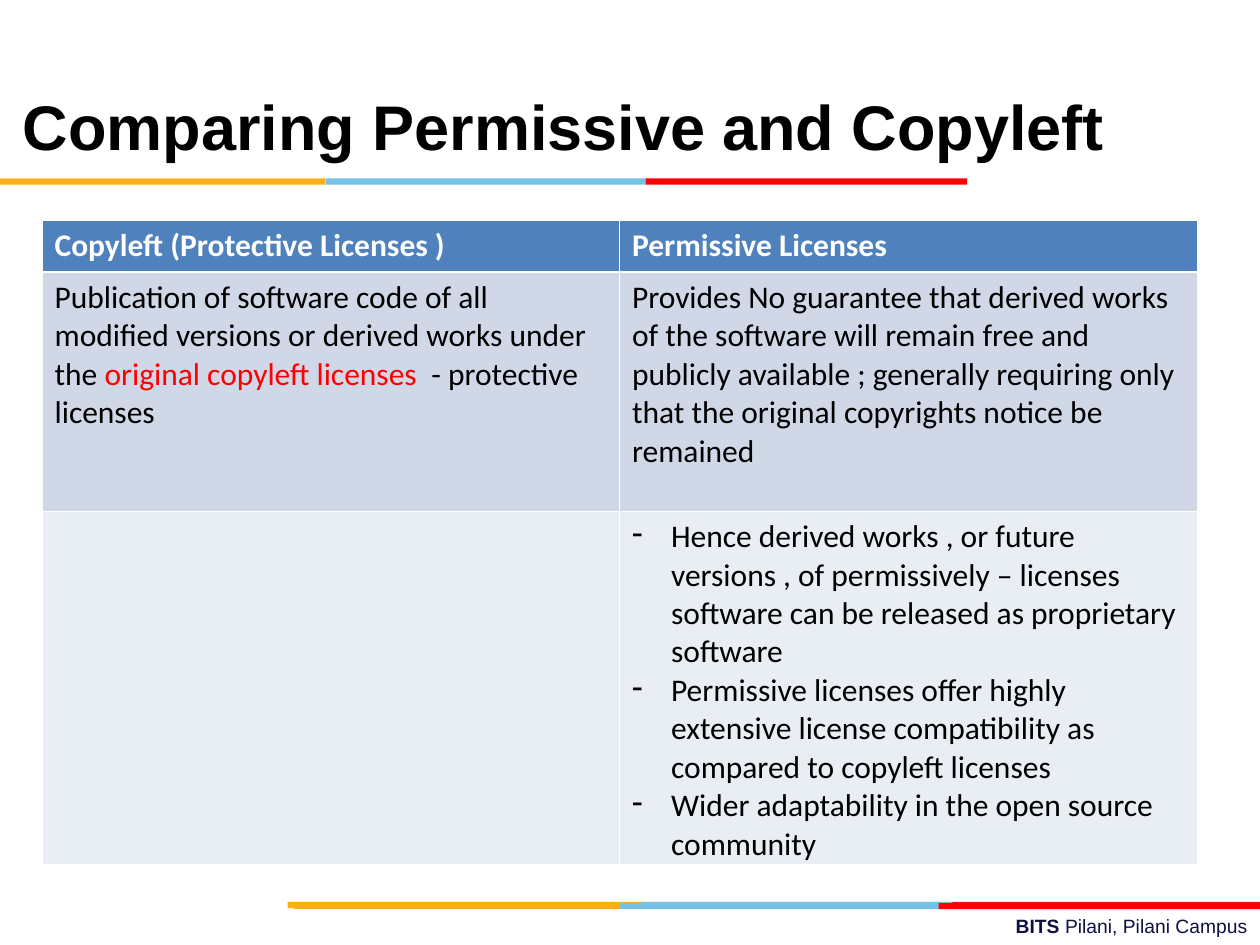
from dataclasses import dataclass
from typing import NamedTuple

from lxml.etree import SubElement
from pptx import Presentation
from pptx.dml.color import RGBColor
from pptx.enum.shapes import MSO_SHAPE
from pptx.enum.text import MSO_ANCHOR, PP_ALIGN
from pptx.oxml.ns import qn
from pptx.slide import Slide
from pptx.table import _Cell
from pptx.text.text import TextFrame, _Paragraph, _Run
from pptx.util import Inches, Pt


@dataclass(frozen=True)
class Theme:
    heading_font: str = "Arial"
    body_font: str = "Calibri"
    title_size: int = 36
    body_size: int = 18
    footer_size: int = 11
    black: str = "000000"
    white: str = "FFFFFF"
    red: str = "FF0000"
    dark_red: str = "E31C24"
    amber: str = "FCB017"
    sky: str = "76C2E5"
    navy: str = "101141"
    header_fill: str = "4F81BD"
    row_fills: tuple[str, str] = ("D0D8E8", "E9EDF4")
    thin_border: float = 0.45
    thick_border: float = 1.47


class Box(NamedTuple):
    """A rectangle in grid columns and rows."""
    left: float
    top: float
    width: float
    height: float


class Stripe(NamedTuple):
    left: float
    top: float
    width: float
    color: str


class Piece(NamedTuple):
    text: str
    color: str
    bold: bool = False


THEME = Theme()
GRID_COLUMNS, GRID_ROWS = 120, 90
UNIT = Inches(10) / GRID_COLUMNS
STRIPE_HEIGHT = 0.6

STRIPES = [
    Stripe(60.7, 85.9, 30.6, THEME.sky),
    Stripe(90.7, 85.9, 29.3, THEME.dark_red),
    Stripe(27.4, 85.9, 33.8, THEME.amber),
    Stripe(59, 86, 30.6, THEME.sky),
    Stripe(28, 86, 31, THEME.amber),
    Stripe(89.4, 86, 30.6, THEME.red),
    Stripe(31, 17, 30.6, THEME.sky),
    Stripe(0, 17, 31, THEME.amber),
    Stripe(61.5, 17, 30.6, THEME.red),
]

TITLE_BOX = Box(1, 5, 106, 15)
FOOTER_BOX = Box(43, 86.5, 77, 3.5)
TABLE_BOX = Box(4, 21, 110, 61.3)
TABLE_ROW_HEIGHTS = (4.9, 22.8, 33.6)

HEADERS = ["Copyleft (Protective Licenses )", "Permissive Licenses"]
COPYLEFT = [
    Piece("Publication of software code of all modified versions or derived works under the ", THEME.black),
    Piece("original copyleft licenses  ", THEME.red),
    Piece("- protective licenses", THEME.black),
]
PERMISSIVE = [
    Piece("Provides No guarantee that derived works of the software will remain free and publicly "
          "available ; generally requiring only that the original copyrights notice be remained", THEME.black),
]
CONSEQUENCES = [
    "Hence derived works , or future versions , of permissively – licenses software can be "
    "released as proprietary software",
    "Permissive licenses offer highly extensive license compatibility as compared to copyleft licenses",
    "Wider adaptability in the open source community",
]
# Each cell is a list of paragraphs, each paragraph a list of pieces.
TABLE_ROWS = [
    [[[Piece(header, THEME.white, True)]] for header in HEADERS],
    [[COPYLEFT], [PERMISSIVE]],
    [[], [[Piece(text, THEME.black)] for text in CONSEQUENCES]],
]


def grid(count: float) -> int:
    return round(count * UNIT)


def place(box: Box) -> list[int]:
    return [grid(length) for length in box]


def format_run(run: _Run, piece: Piece, font_name: str, size: int) -> None:
    run.text = piece.text
    run.font.name = font_name
    run.font.size = Pt(size)
    run.font.bold = piece.bold
    run.font.color.rgb = RGBColor.from_string(piece.color)


def write_pieces(paragraph: _Paragraph, pieces: list[Piece], font_name: str, size: int) -> None:
    for piece in pieces:
        format_run(paragraph.add_run(), piece, font_name, size)


def draw_stripe(slide: Slide, stripe: Stripe) -> None:
    box = Box(stripe.left, stripe.top, stripe.width, STRIPE_HEIGHT)
    shape = slide.shapes.add_shape(MSO_SHAPE.RECTANGLE, *place(box))
    shape.shadow.inherit = False
    shape.fill.solid()
    shape.fill.fore_color.rgb = RGBColor.from_string(stripe.color)
    shape.line.fill.background()


def draw_text(slide: Slide, box: Box, pieces: list[Piece], size: int) -> TextFrame:
    text_frame = slide.shapes.add_textbox(*place(box)).text_frame
    text_frame.word_wrap = True
    write_pieces(text_frame.paragraphs[0], pieces, THEME.heading_font, size)
    return text_frame


def add_dash(paragraph: _Paragraph) -> None:
    """Give the paragraph a dash bullet with a hanging indent."""
    properties = paragraph._p.get_or_add_pPr()
    indent = Inches(0.31)
    properties.set("marL", str(indent))
    properties.set("indent", str(-indent))
    SubElement(properties, qn("a:buChar"), char="-")


def set_border(cell: _Cell, side: str, width: float) -> None:
    line = SubElement(cell._tc.get_or_add_tcPr(), qn(f"a:ln{side}"), w=str(Pt(width)))
    fill = SubElement(line, qn("a:solidFill"))
    SubElement(fill, qn("a:srgbClr"), val=THEME.white)


def fill_cell(cell: _Cell, row: int, paragraphs: list[list[Piece]], bulleted: bool) -> None:
    thick_side = {0: "B", 1: "T"}.get(row)
    for side in "LRTB":
        set_border(cell, side, THEME.thick_border if side == thick_side else THEME.thin_border)
    cell.fill.solid()
    color = THEME.row_fills[row - 1] if row else THEME.header_fill
    cell.fill.fore_color.rgb = RGBColor.from_string(color)
    text_frame = cell.text_frame
    for index, pieces in enumerate(paragraphs):
        paragraph = text_frame.add_paragraph() if index else text_frame.paragraphs[0]
        if bulleted:
            add_dash(paragraph)
        write_pieces(paragraph, pieces, THEME.body_font, THEME.body_size)


def draw_table(slide: Slide) -> None:
    frame = slide.shapes.add_table(len(TABLE_ROWS), len(HEADERS), *place(TABLE_BOX))
    table = frame.table
    for column in table.columns:
        column.width = grid(TABLE_BOX.width / len(HEADERS))
    for row, (height, contents) in enumerate(zip(TABLE_ROW_HEIGHTS, TABLE_ROWS)):
        table.rows[row].height = grid(height)
        for column, paragraphs in enumerate(contents):
            fill_cell(table.cell(row, column), row, paragraphs, bulleted=len(paragraphs) > 1)


def main() -> None:
    presentation = Presentation()
    presentation.slide_width = grid(GRID_COLUMNS)
    presentation.slide_height = grid(GRID_ROWS)
    slide = presentation.slides.add_slide(presentation.slide_layouts[6])

    footer = [Piece("BITS ", THEME.navy, True), Piece("Pilani, Pilani Campus", THEME.navy)]
    footer_frame = draw_text(slide, FOOTER_BOX, footer, THEME.footer_size)
    footer_frame.paragraphs[0].alignment = PP_ALIGN.RIGHT
    for stripe in STRIPES:
        draw_stripe(slide, stripe)

    title = [Piece("Comparing Permissive and Copyleft", THEME.black, True)]
    title_frame = draw_text(slide, TITLE_BOX, title, THEME.title_size)
    title_frame.vertical_anchor = MSO_ANCHOR.MIDDLE
    title_frame.paragraphs[0].line_spacing = Pt(THEME.title_size)
    draw_table(slide)
    presentation.save("out.pptx")


if __name__ == "__main__":
    main()
